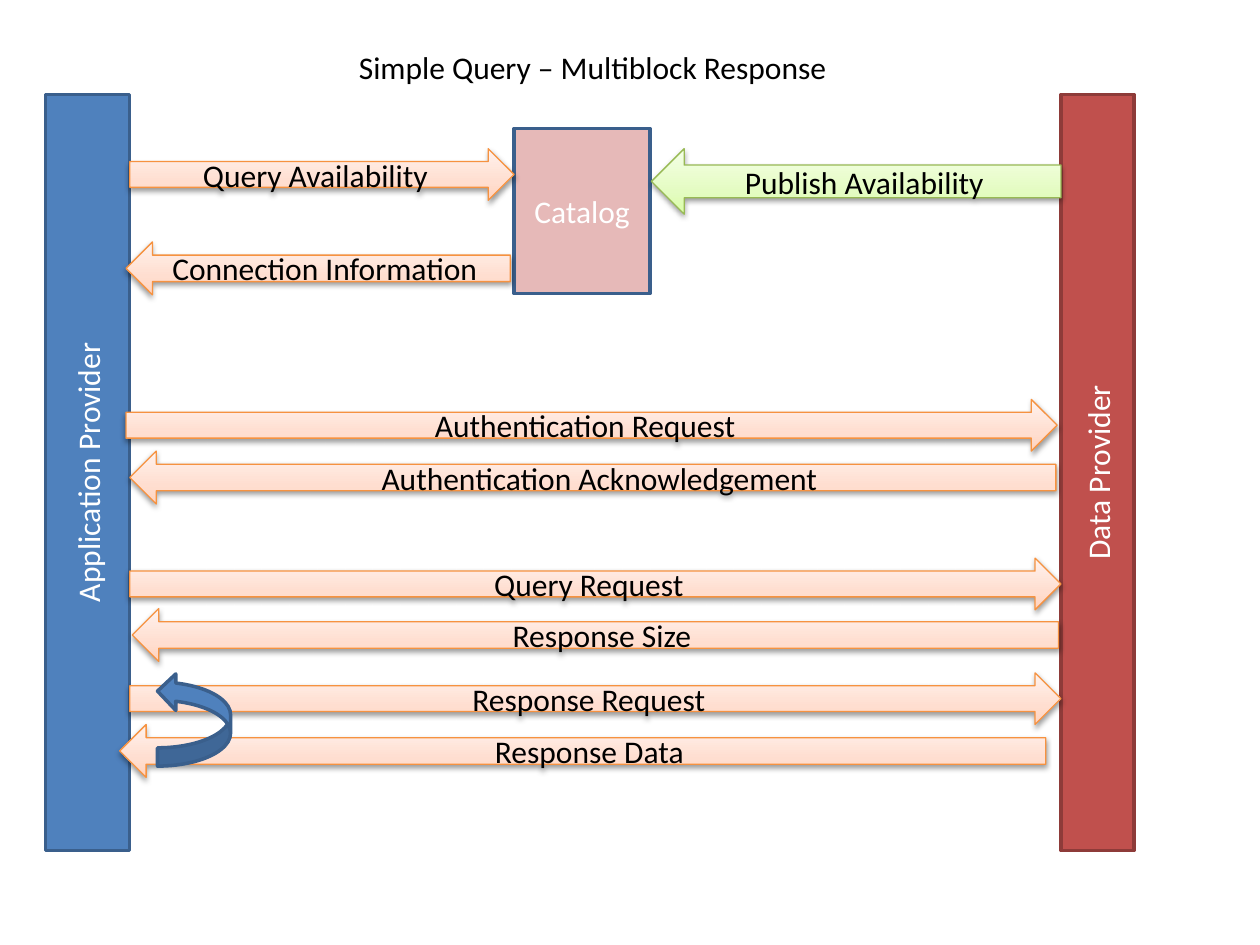
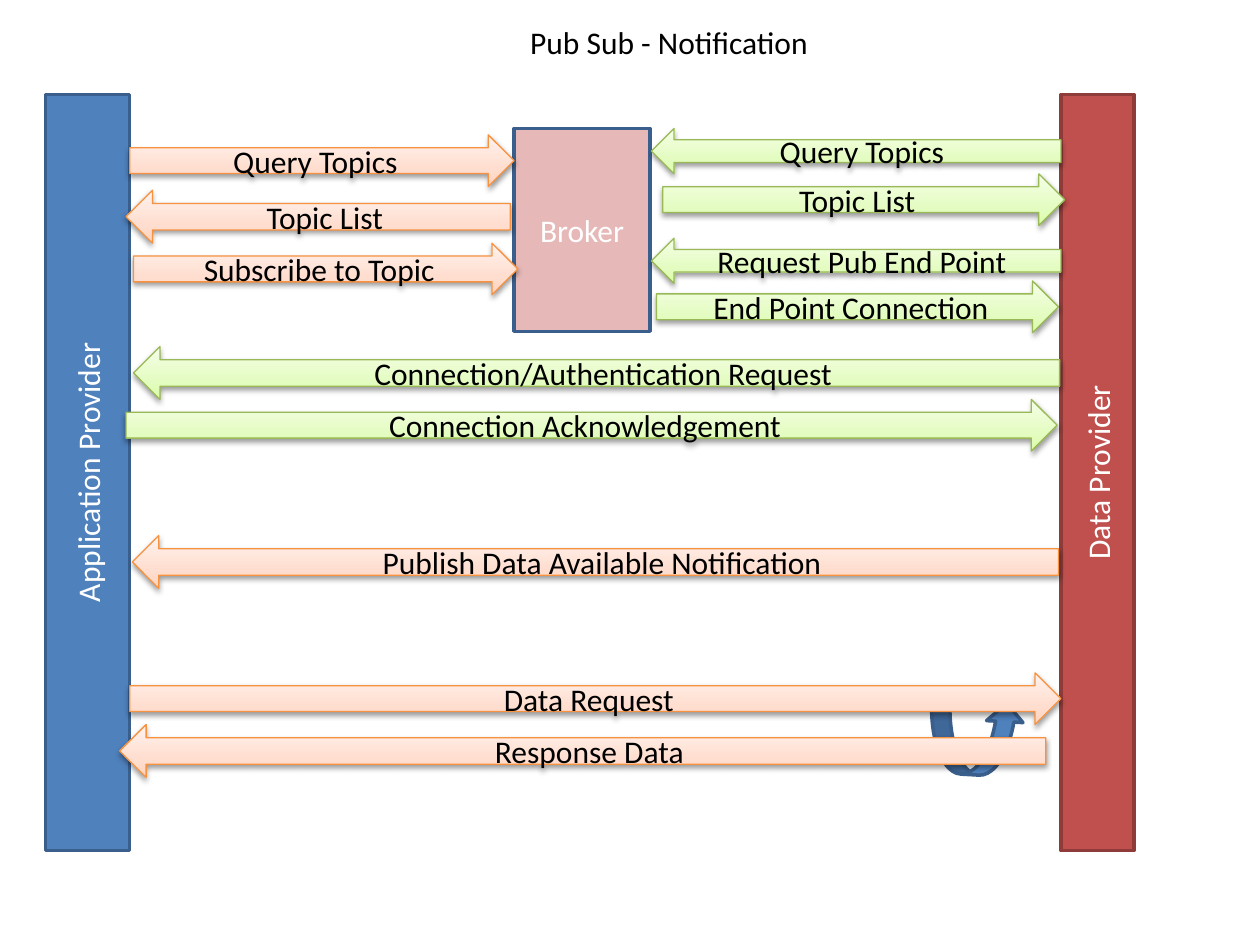
from collections import namedtuple

from pptx import Presentation
from pptx.dml.color import RGBColor
from pptx.enum.shapes import MSO_SHAPE as Shape
from pptx.enum.text import MSO_ANCHOR as Anchor, PP_ALIGN as Align
from pptx.oxml import parse_xml
from pptx.oxml.ns import nsdecls
from pptx.util import Inches, Pt

COLORS = {
    "blue": "4F81BD", "blue_edge": "3A5F8C",
    "red": "C0504D", "red_edge": "8E3B39",
    "pink": "E6B9B8", "white": "FFFFFF", "black": "000000",
    "orange_edge": "F69240", "green_edge": "98B955",
}
# Gradient stops of the message arrows, from bottom to top
GRADIENTS = {
    "orange": {0: "FFD2BD", 35: "FFDED0", 100: "FFF2ED"},
    "green": {0: "DAFDA7", 35: "E4FCC2", 100: "F5FFE7"},
}
FONT = {"name": "Calibri", "size": Pt(18)}

Box = namedtuple("Box", "left top width height")
DIAGRAM = Box(0.36, 0.75, 8.64, 6)
APP_WIDTH, DATA_WIDTH = 0.67, 0.58
HUB_LEFT, HUB_TOP, HUB_WIDTH = 3.72, 0.27, 1.08

# A lane starts at the bar or hub on its left; widths depend on direction
LANE_STARTS = {"app": APP_WIDTH, "data": 4.81, "full": APP_WIDTH}
LANE_WIDTHS = {
    ("app", "right"): 3.05, ("app", "left"): 3.05,
    ("data", "right"): 3.19, ("data", "left"): 3.25,
    ("full", "right"): 7.39, ("full", "left"): 7.35,
}
ARROWS = {"right": (Shape.RIGHT_ARROW, 0.41), "left": (Shape.LEFT_ARROW, 0.42)}


def color(name):
    return RGBColor.from_string(COLORS[name])


def inside(box, left, top, width, height):
    """Box placed relative to the corner of another one."""
    return Box(box.left + left, box.top + top, width, height)


def write(shape, text, ink, align=Align.CENTER):
    para = shape.text_frame.paragraphs[0]
    para.alignment = align
    span = para.add_run()
    span.text = text
    for key, value in FONT.items():
        setattr(span.font, key, value)
    span.font.color.rgb = color(ink)


def add_shape(page, kind, box, edge, weight, fill=None):
    shape = page.shapes.add_shape(kind, *map(Inches, box))
    shape.shadow.inherit = False
    if fill:
        shape.fill.solid()
        shape.fill.fore_color.rgb = color(fill)
    shape.line.color.rgb = color(edge)
    shape.line.width = Pt(weight)
    shape.text_frame.vertical_anchor = Anchor.MIDDLE
    shape.text_frame.word_wrap = True
    return shape


def add_title(page, box, text):
    title = page.shapes.add_textbox(*map(Inches, box))
    title.text_frame.word_wrap = False
    write(title, text, "black", Align.LEFT)


def add_participants(page, box, hub_name, hub_height):
    """Two upright bars at the sides of the box and the hub between them."""
    bars = [
        ("Application Provider", 0, APP_WIDTH, "blue"),
        ("Data Provider", box.width - DATA_WIDTH, DATA_WIDTH, "red"),
    ]
    for name, left, width, fill in bars:
        place = inside(box, left, 0, width, box.height)
        bar = add_shape(page, Shape.RECTANGLE, place, fill + "_edge", 2, fill)
        bar.text_frame._txBody.bodyPr.set("vert", "vert270")
        write(bar, name, "white")
    place = inside(box, HUB_LEFT, HUB_TOP, HUB_WIDTH, hub_height)
    hub = add_shape(page, Shape.RECTANGLE, place, "blue_edge", 2, "pink")
    write(hub, hub_name, "white")


def add_glow(shape, tone):
    """Three-stop gradient and a soft shadow below."""
    properties = shape.element.spPr
    stops = "".join(
        f'<a:gs pos="{pos * 1000}"><a:srgbClr val="{value}"/></a:gs>'
        for pos, value in GRADIENTS[tone].items())
    properties.prstGeom.addnext(parse_xml(
        f'<a:gradFill {nsdecls("a")} rotWithShape="1"><a:gsLst>{stops}</a:gsLst>'
        '<a:lin ang="16200000" scaled="0"/></a:gradFill>'))
    effects = properties.find(".//{*}effectLst")
    effects.append(parse_xml(
        f'<a:outerShdw {nsdecls("a")} blurRad="{Pt(3.1)}" dist="{Pt(1.6)}" '
        'dir="5400000" rotWithShape="0"><a:srgbClr val="000000">'
        '<a:alpha val="38000"/></a:srgbClr></a:outerShdw>'))


def add_messages(page, box, messages):
    """Rows: text, lane, direction, tone, top, nudge from lane start, [height]."""
    for text, lane, direction, tone, top, nudge, *special in messages:
        kind, height = ARROWS[direction]
        place = inside(box, LANE_STARTS[lane] + nudge, top,
                       LANE_WIDTHS[lane, direction], *(special or [height]))
        arrow = add_shape(page, kind, place, tone + "_edge", 0.75)
        add_glow(arrow, tone)
        write(arrow, text, "black")


def add_repeat(page, box, left, top, rotation):
    """Curved arrow that marks a repeated exchange."""
    place = inside(box, left, top, 0.58, 0.74)
    curve = add_shape(page, Shape.CURVED_RIGHT_ARROW, place, "blue_edge", 2, "blue")
    curve.rotation = rotation


QUERY_MESSAGES = [
    ("Publish Availability", "data", "left", "green", 0.43, 0, 0.52),
    ("Query Availability", "app", "right", "orange", 0.43, 0),
    ("Connection Information", "app", "left", "orange", 1.17, -0.03),
    ("Authentication Request", "full", "right", "orange", 2.42, -0.03),
    ("Authentication Acknowledgement", "full", "left", "orange", 2.83, 0),
    ("Query Request", "full", "right", "orange", 3.68, 0),
    ("Response Size", "full", "left", "orange", 4.08, 0.02),
    ("Response Request", "full", "right", "orange", 4.59, 0),
    ("Response Data", "full", "left", "orange", 5, -0.08),
]
NOTIFICATION_MESSAGES = [
    ("Connection Acknowledgement", "full", "right", "green", 2.42, -0.03),
    ("Connection/Authentication Request", "full", "left", "green", 2, 0.03),
    ("Publish Data Available Notification", "full", "left", "orange", 3.5, 0.02),
    ("Query Topics", "data", "left", "green", 0.27, 0, 0.36),
    ("Topic List", "data", "right", "green", 0.63, 0.09),
    ("Request Pub End Point", "data", "left", "green", 1.14, 0, 0.36),
    ("End Point Connection", "data", "right", "green", 1.48, 0.04),
    ("Query Topics", "app", "right", "orange", 0.32, 0),
    ("Topic List", "app", "left", "orange", 0.76, -0.03),
    ("Subscribe to Topic", "app", "right", "orange", 1.18, 0.03),
    ("Data Request", "full", "right", "orange", 4.59, 0),
    ("Response Data", "full", "left", "orange", 5, -0.08),
]

deck = Presentation()
deck.slide_width, deck.slide_height = Inches(10), Inches(7.5)
blank = deck.slide_layouts[6]

# Simple query: the repeat mark lies over the messages
page = deck.slides.add_slide(blank)
add_participants(page, DIAGRAM, "Catalog", 1.31)
add_messages(page, DIAGRAM, QUERY_MESSAGES)
add_repeat(page, DIAGRAM, 0.89, 4.59, 180)
add_title(page, Box(2.75, 0.33, 3.96, 0.4), "Simple Query – Multiblock Response")

# Notification: the repeat mark lies under the messages
page = deck.slides.add_slide(blank)
add_participants(page, DIAGRAM, "Broker", 1.61)
add_repeat(page, DIAGRAM, 7.1, 4.74, 273.1)
add_title(page, Box(4.11, 0.13, 2.44, 0.4), "Pub Sub - Notification")
add_messages(page, DIAGRAM, NOTIFICATION_MESSAGES)

deck.save("out.pptx")
